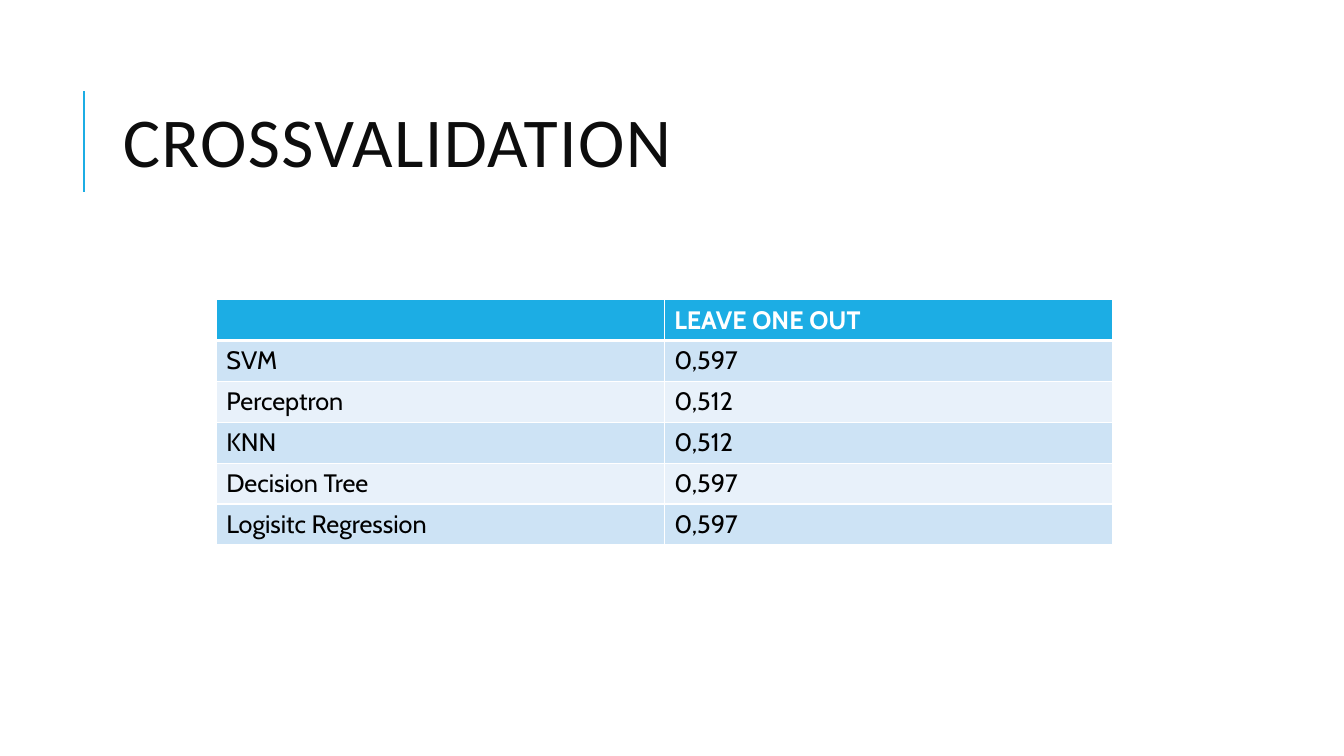
from lxml.etree import SubElement as Sub
from pptx import Presentation
from pptx.dml.color import RGBColor as Rgb
from pptx.enum.shapes import MSO_CONNECTOR as Conn
from pptx.enum.text import MSO_ANCHOR as Anchor, MSO_AUTO_SIZE as Fit, PP_ALIGN as Align
from pptx.oxml.ns import qn
from pptx.util import Cm, Pt

HUES = {
    "accent": "1CADE4",
    "title": "0D0D0D",
    "text": "000000",
    "white": "FFFFFF",
    "dark": "CDE3F5",
    "light": "E8F1FA",
}
SCORES = [
    ("", "LEAVE ONE OUT"),
    ("SVM", "0,597"),
    ("Perceptron", "0,512"),
    ("KNN", "0,512"),
    ("Decision Tree", "0,597"),
    ("Logisitc Regression", "0,597"),
]


def hue(name):
    return Rgb.from_string(HUES[name])


def style(para, face, size, color, bold=False):
    font = para.font
    font.name, font.size, font.bold = face, Pt(size), bold
    font.color.rgb = hue(color)


def add_title(slide, text, left, top, width, height):
    bar = slide.shapes.add_connector(
        Conn.STRAIGHT, left - Cm(0.73), top + Cm(3.2), left - Cm(0.73), top + Cm(0.66))
    bar.line.color.rgb = hue("accent")
    bar.line.width = Pt(1.5)
    Sub(bar._element.spPr, qn("a:effectLst"))

    title = slide.shapes.title
    title.left, title.top, title.width, title.height = left, top, width, height
    frame = title.text_frame
    frame.text = text
    frame.word_wrap = True
    frame.auto_size = Fit.NONE
    frame.vertical_anchor = Anchor.MIDDLE
    para = frame.paragraphs[0]
    para.alignment = Align.LEFT
    para.line_spacing = 0.8
    style(para, "Calibri", 50, "title")
    para.runs[0].font._element.set("spc", "100")


def add_edges(cell, base):
    props = cell._tc.get_or_add_tcPr()
    for side, width in (("L", 1), ("R", 1), ("T", 1), ("B", base)):
        edge = Sub(props, qn(f"a:ln{side}"), w=str(Pt(width)))
        fill = Sub(edge, qn("a:solidFill"))
        Sub(fill, qn("a:srgbClr"), val=HUES["white"])


def add_scores(slide, rows, left, top, width, height):
    table = slide.shapes.add_table(
        len(rows), len(rows[0]), left, top, width, height).table
    for r, row in enumerate(rows):
        head = r == 0
        back = "accent" if head else ("dark" if r % 2 else "light")
        for c, text in enumerate(row):
            cell = table.cell(r, c)
            cell.text = text
            add_edges(cell, 3 if head else 1)
            cell.fill.solid()
            cell.fill.fore_color.rgb = hue(back)
            style(cell.text_frame.paragraphs[0], "Cabin", 18,
                  "white" if head else "text", head)


def main():
    deck = Presentation()
    deck.slide_width, deck.slide_height = Cm(33.87), Cm(19.05)
    slide = deck.slides.add_slide(deck.slide_layouts[5])
    add_title(slide, "CROSSVALIDATION", Cm(2.84), Cm(1.63), Cm(27), Cm(4.17))
    add_scores(slide, SCORES, Cm(5.45), Cm(7.55), Cm(22.58), Cm(6.18))
    deck.save("out.pptx")


if __name__ == "__main__":
    main()
